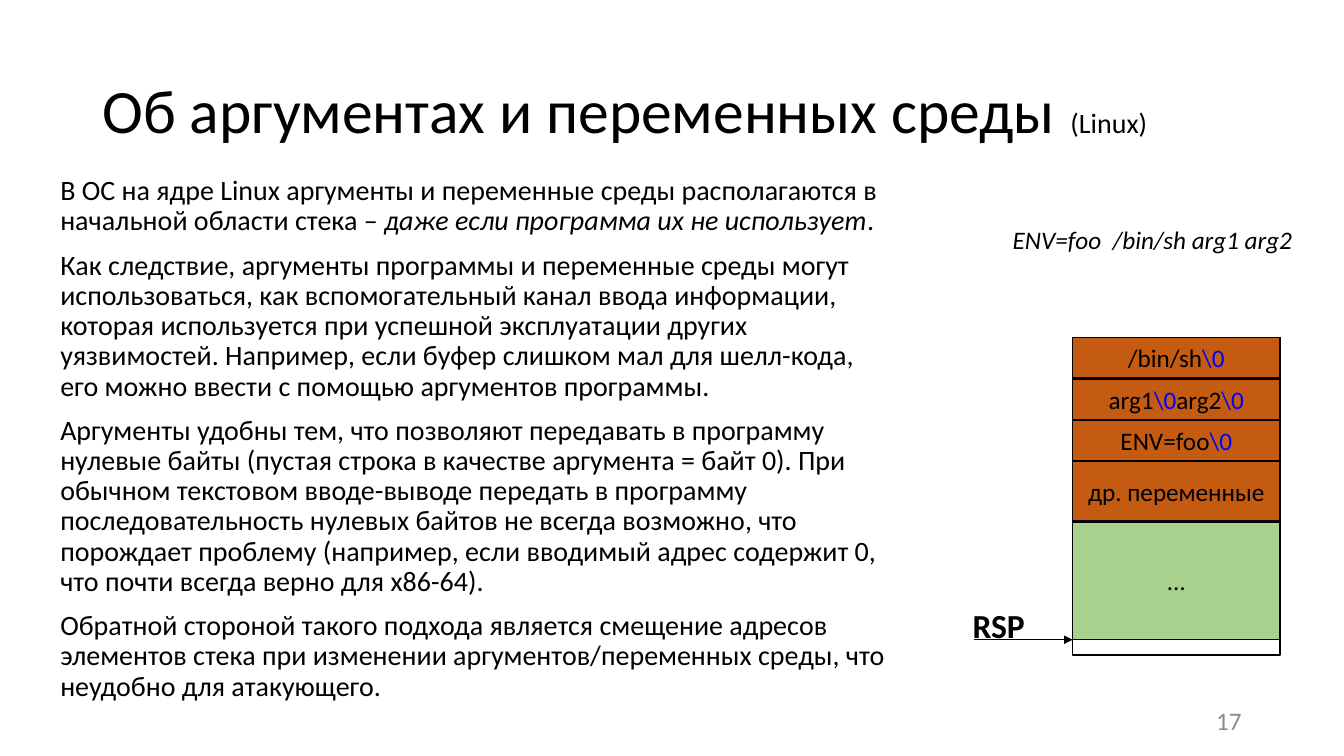
from lxml import etree
from pptx import Presentation
from pptx.dml.color import RGBColor
from pptx.enum.shapes import MSO_CONNECTOR, MSO_SHAPE
from pptx.enum.text import MSO_ANCHOR, MSO_AUTO_SIZE, PP_ALIGN
from pptx.oxml.ns import qn
from pptx.util import Cm, Pt

RECTANGLE = MSO_SHAPE.RECTANGLE
STRAIGHT = MSO_CONNECTOR.STRAIGHT
MIDDLE = MSO_ANCHOR.MIDDLE
LEFT, CENTER, RIGHT = PP_ALIGN.LEFT, PP_ALIGN.CENTER, PP_ALIGN.RIGHT
NO_FIT, FIT_SHAPE = MSO_AUTO_SIZE.NONE, MSO_AUTO_SIZE.SHAPE_TO_FIT_TEXT

FONT = "Calibri"
COLORS = {
    "text": "000000",
    "terminator": "0000FF",
    "arguments": "C55A11",
    "frames": "A9D18E",
    "page": "8C8C8C",
}
NUL = "\\0"

STACK_LEFT, STACK_TOP, STACK_WIDTH, STACK_HEIGHT = 27.03, 8.51, 5.23, 8
CELL_GAP = 0.02
# Runs, height in cm, fill
STACK_CELLS = [
    (["/bin/sh", NUL], 1.02, "arguments"),
    (["arg1", NUL, "arg2", NUL], 1.02, "arguments"),
    (["ENV=foo", NUL], 1.02, "arguments"),
    (["др. переменные"], 1.5, "arguments"),
    (["…"], 2.97, "frames"),
]

EMPHASIS = "даже если программа их не использует"
BODY = [
    ["В ОС на ядре Linux аргументы и переменные среды располагаются в "
     "начальной области стека – ", EMPHASIS, "."],
    ["Как следствие, аргументы программы и переменные среды могут "
     "использоваться, как вспомогательный канал ввода информации, которая "
     "используется при успешной эксплуатации других уязвимостей. Например, "
     "если буфер слишком мал для шелл-кода, его можно ввести с помощью "
     "аргументов программы."],
    ["Аргументы удобны тем, что позволяют передавать в программу нулевые "
     "байты (пустая строка в качестве аргумента = байт 0). При обычном "
     "текстовом вводе-выводе передать в программу последовательность нулевых "
     "байтов не всегда возможно, что порождает проблему (например, если "
     "вводимый адрес содержит 0, что почти всегда верно для х86-64)."],
    ["Обратной стороной такого подхода является смещение адресов элементов "
     "стека при изменении аргументов/переменных среды, что неудобно для "
     "атакующего."],
]


def rgb(name):
    return RGBColor.from_string(COLORS[name])


def write(paragraph, runs, size, color="text", align=LEFT):
    """Fill a paragraph with runs and give it one common font."""
    paragraph.alignment = align
    paragraph.font.name = FONT
    paragraph.font.size = Pt(size)
    paragraph.font.color.rgb = rgb(color)
    for text in runs:
        run = paragraph.add_run()
        run.text = text
        if text == NUL:
            run.font.color.rgb = rgb("terminator")
        elif text == EMPHASIS:
            run.font.italic = True


def add_title(slide):
    title = slide.shapes.title
    title.left, title.top = Cm(2.33), Cm(1.02)
    title.width, title.height = Cm(29.21), Cm(3.68)
    frame = title.text_frame
    frame.vertical_anchor = MIDDLE
    frame.auto_size = NO_FIT
    heading = frame.paragraphs[0]
    write(heading, ["Об аргументах и переменных среды ", "(Linux)"], 44)
    heading.line_spacing = 0.9
    heading.runs[1].font.size = Pt(20)


def add_text_frame(slide, left, top, width, height, wrap=True):
    box = slide.shapes.add_textbox(Cm(left), Cm(top), Cm(width), Cm(height))
    frame = box.text_frame
    frame.word_wrap = wrap
    frame.auto_size = NO_FIT if wrap else FIT_SHAPE
    return frame


def add_body(slide):
    frame = add_text_frame(slide, 1.27, 4.32, 21.46, 13.74)
    for index, runs in enumerate(BODY):
        paragraph = frame.add_paragraph() if index else frame.paragraphs[0]
        write(paragraph, runs, 20)
        paragraph.line_spacing = 0.9
        if index:
            paragraph.space_before = Pt(10)


def add_label(slide, text, size, left, top, width, height):
    """Add a one-line label that does not wrap."""
    frame = add_text_frame(slide, left, top, width, height, wrap=False)
    label = frame.paragraphs[0]
    write(label, [text], size)
    return label


def add_page_number(slide, number):
    frame = add_text_frame(slide, 23.92, 17.66, 7.62, 1.01)
    frame.vertical_anchor = MIDDLE
    write(frame.paragraphs[0], [number], 18, "page", RIGHT)


def add_stack_box(slide, top, height, fill=None):
    box = slide.shapes.add_shape(
        RECTANGLE, Cm(STACK_LEFT), Cm(top), Cm(STACK_WIDTH), Cm(height))
    box.shadow.inherit = False
    if fill:
        box.fill.solid()
        box.fill.fore_color.rgb = rgb(fill)
    else:
        box.fill.background()
    box.line.color.rgb = rgb("text")
    box.line.width = Pt(1)
    return box


def add_stack(slide):
    """Draw the stack with its cells and return the bottom of the last cell."""
    add_stack_box(slide, STACK_TOP, STACK_HEIGHT)
    top = STACK_TOP
    for runs, height, fill in STACK_CELLS:
        frame = add_stack_box(slide, top, height, fill).text_frame
        frame.vertical_anchor = MIDDLE
        write(frame.paragraphs[0], runs, 18, align=CENTER)
        top += height + CELL_GAP
    return top - CELL_GAP


def add_pointer(slide, y):
    arrow = slide.shapes.add_connector(
        STRAIGHT, Cm(24.54), Cm(y), Cm(STACK_LEFT), Cm(y))
    arrow.line.color.rgb = rgb("text")
    arrow.line.width = Pt(0.5)
    etree.SubElement(arrow.line._get_or_add_ln(), qn("a:tailEnd"), type="triangle")
    etree.SubElement(arrow._element.spPr, qn("a:effectLst"))


def main():
    presentation = Presentation()
    presentation.slide_width, presentation.slide_height = Cm(33.87), Cm(19.05)
    slide = presentation.slides.add_slide(presentation.slide_layouts[5])

    add_title(slide)
    add_body(slide)
    add_page_number(slide, "17")
    command = add_label(slide, "ENV=foo  /bin/sh arg1 arg2", 18, 25.27, 5.54, 7.82, 1.03)
    command.font.italic = True
    stack_pointer_y = add_stack(slide)
    add_pointer(slide, stack_pointer_y)
    register = add_label(slide, "RSP", 24, 24.26, 15.11, 1.85, 1.28)
    register.font.bold = True

    presentation.save("out.pptx")


if __name__ == "__main__":
    main()
